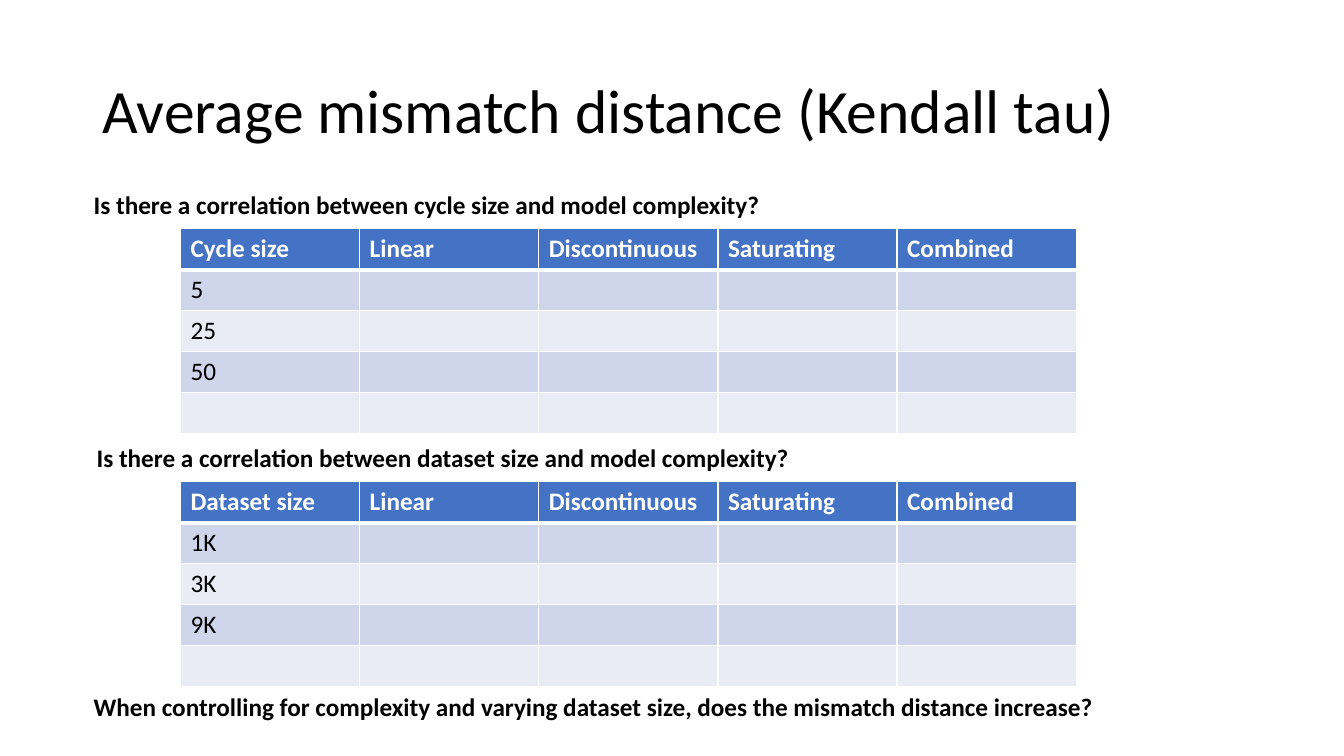
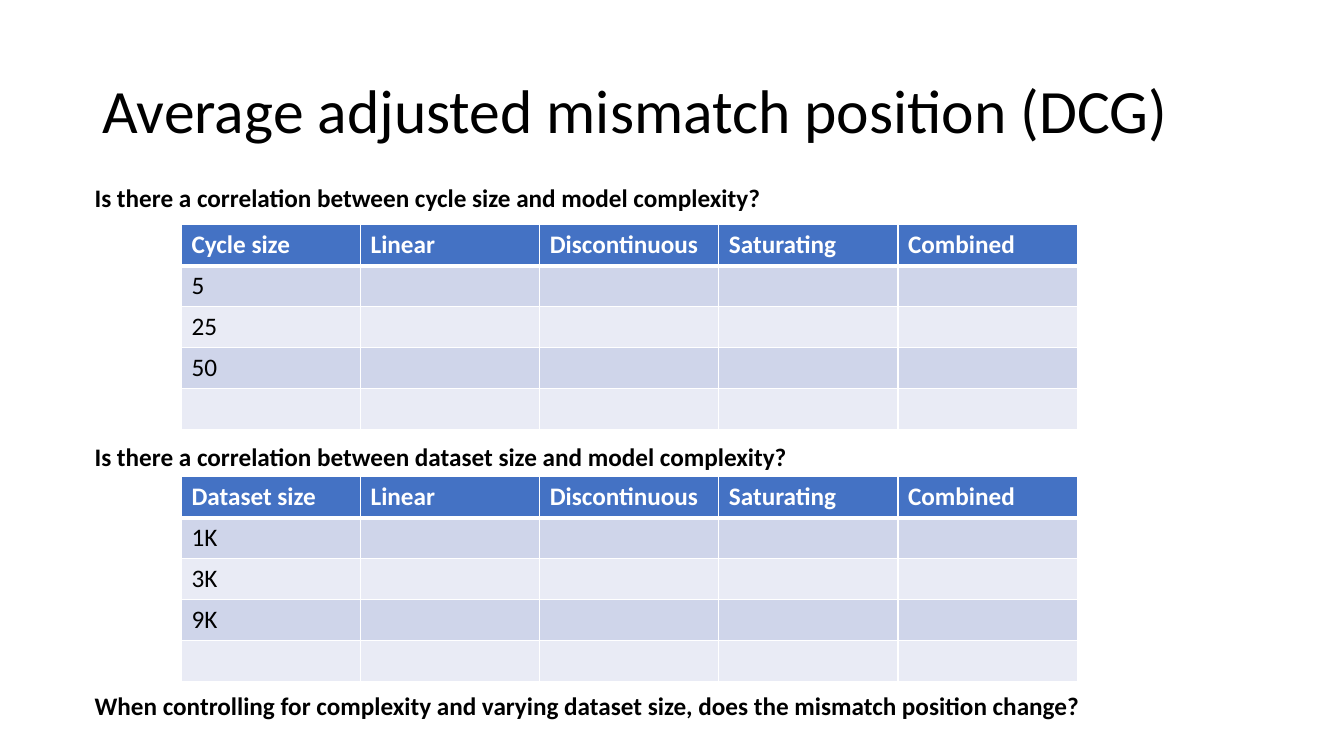
"""Build two slides of empty result tables for ranking mismatch measures."""
from dataclasses import dataclass

from lxml import etree
from pptx import Presentation, util as u
from pptx.dml.color import RGBColor
from pptx.enum import text
from pptx.oxml import ns

WIDTH, HEIGHT = u.Inches(13.33), u.Inches(7.5)
MODELS = ["Linear", "Discontinuous", "Saturating", "Combined"]
CYCLE_QUESTION = "Is there a correlation between cycle size and model complexity?"
DATASET_QUESTION = "Is there a correlation between dataset size and model complexity?"
CLOSING_QUESTION = ("When controlling for complexity and varying dataset size, "
                    "does the mismatch {}?")
CYCLE_SIZES = ["Cycle size", "5", "25", "50", ""]
DATASET_SIZES = ["Dataset size", "1K", "3K", "9K", ""]


@dataclass(frozen=True)
class Theme:
    """Colours and type sizes of the deck."""
    font: str = "Calibri"
    title_size: int = 44
    body_size: int = 18
    ink: str = "000000"
    paper: str = "FFFFFF"
    header: str = "4472C4"
    bands: tuple = ("CFD5EA", "E9EBF5")
    rule: int = 1
    header_rule: int = 3


THEME = Theme()


def across(percent):
    """Return a share of the slide's width."""
    return round(WIDTH * percent / 100)


def down(percent):
    """Return a share of the slide's height."""
    return round(HEIGHT * percent / 100)


def style(paragraph, size, color, bold=False):
    """Set the font of a whole paragraph."""
    font = paragraph.font
    font.name, font.size, font.bold = THEME.font, u.Pt(size), bold
    font.color.rgb = RGBColor.from_string(color)


def add_text(slide, wording, left, top, width, height, size, bold=False):
    """Add a one-paragraph text box and return its frame."""
    frame = slide.shapes.add_textbox(
        across(left), down(top), across(width), down(height)).text_frame
    frame.word_wrap = True
    frame.text = wording
    style(frame.paragraphs[0], size, THEME.ink, bold)
    return frame


def add_title(slide, wording):
    """Add the slide title."""
    frame = add_text(slide, wording, 6.88, 5.33, 86.25, 19.33, THEME.title_size)
    frame.vertical_anchor = text.MSO_ANCHOR.MIDDLE
    frame.paragraphs[0].line_spacing = 0.9


def add_question(slide, wording, left, top):
    """Add a bold question line."""
    add_text(slide, wording, left, top, 77.3, 5.33, THEME.body_size, bold=True)


def set_borders(cell, row):
    """Rule a cell on all sides, heavier below the header."""
    weights = {"lnL": THEME.rule, "lnR": THEME.rule,
               "lnT": THEME.header_rule if row == 1 else THEME.rule,
               "lnB": THEME.header_rule if row == 0 else THEME.rule}
    properties = cell._tc.get_or_add_tcPr()
    for side, weight in weights.items():
        line = etree.SubElement(properties, ns.qn(f"a:{side}"), w=str(u.Pt(weight)))
        fill = etree.SubElement(line, ns.qn("a:solidFill"))
        etree.SubElement(fill, ns.qn("a:srgbClr"), val=THEME.paper)


def add_size_table(slide, sizes, left, top):
    """Add a table with one row per size and one column per model."""
    rows = [[sizes[0], *MODELS]] + [[size] + [""] * len(MODELS) for size in sizes[1:]]
    row_height, column_width = down(5.41), across(13.33)
    table = slide.shapes.add_table(
        len(rows), len(rows[0]), across(left), down(top),
        column_width * len(rows[0]), row_height * len(rows)).table
    for column in table.columns:
        column.width = column_width
    for r, wordings in enumerate(rows):
        table.rows[r].height = row_height
        is_header = r == 0
        shade = THEME.header if is_header else THEME.bands[(r - 1) % 2]
        for c, wording in enumerate(wordings):
            cell = table.cell(r, c)
            cell.text = wording
            style(cell.text_frame.paragraphs[0], THEME.body_size,
                  THEME.paper if is_header else THEME.ink, is_header)
            set_borders(cell, r)
            cell.fill.solid()
            cell.fill.fore_color.rgb = RGBColor.from_string(shade)


def add_measure_slide(deck, title, change, question_places, table_places):
    """Add a slide with two size tables and their questions."""
    slide = deck.slides.add_slide(deck.slide_layouts[6])
    add_title(slide, title)
    for sizes, place in zip((CYCLE_SIZES, DATASET_SIZES), table_places):
        add_size_table(slide, sizes, *place)
    questions = (CYCLE_QUESTION, DATASET_QUESTION, CLOSING_QUESTION.format(change))
    for question, place in zip(questions, question_places):
        add_question(slide, question, *place)


def main():
    """Build and save the deck."""
    deck = Presentation()
    deck.slide_width, deck.slide_height = WIDTH, HEIGHT
    add_measure_slide(
        deck, "Average mismatch distance (Kendall tau)", "distance increase",
        [(6.23, 24.4), (6.45, 57.87), (6.23, 90.8)],
        [(13.43, 30.27), (13.43, 63.73)])
    add_measure_slide(
        deck, "Average adjusted mismatch position (DCG)", "position change",
        [(6.3, 23.47), (6.3, 57.73), (6.3, 90.67)],
        [(13.5, 29.73), (13.5, 63.07)])
    deck.save("out.pptx")


if __name__ == "__main__":
    main()
